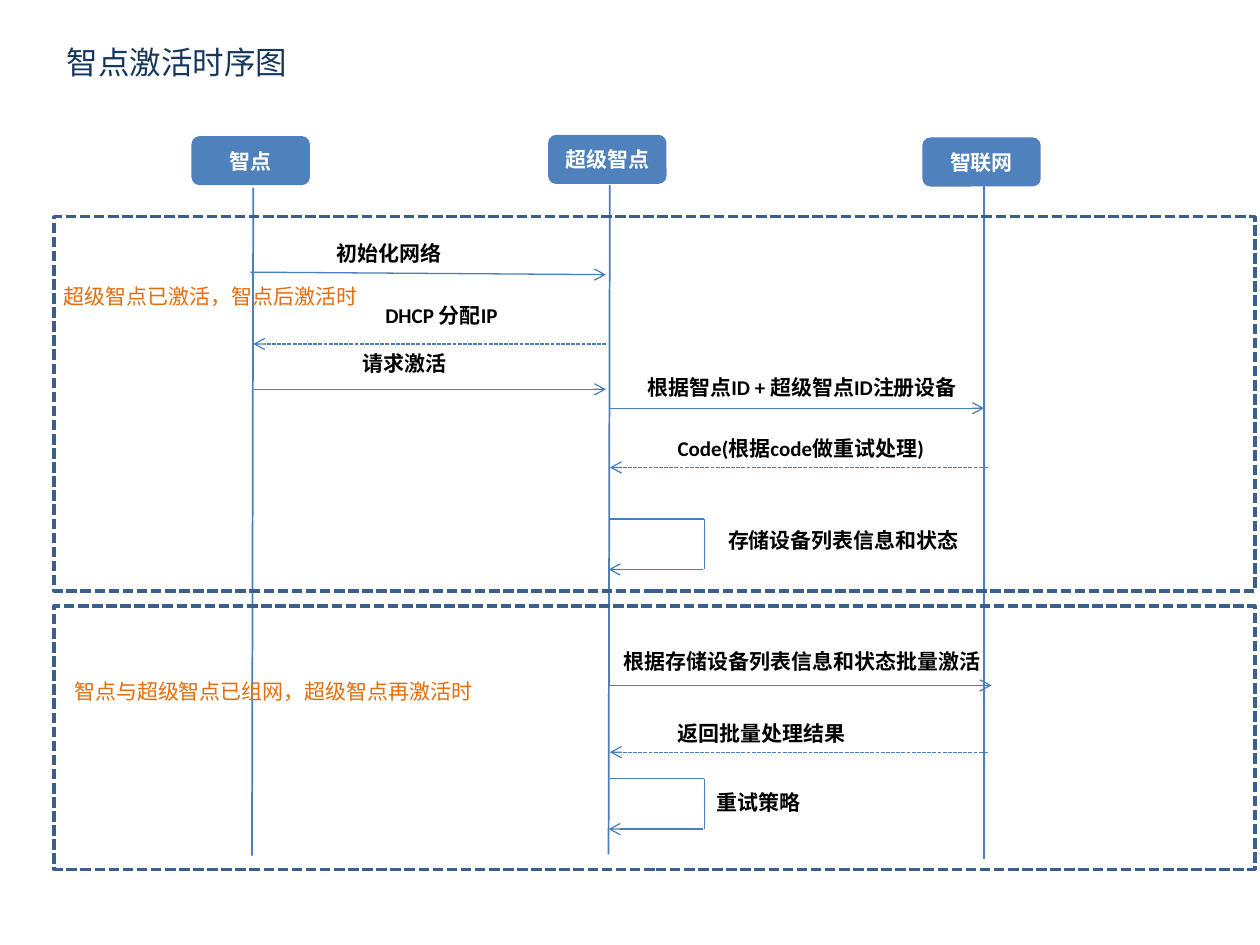
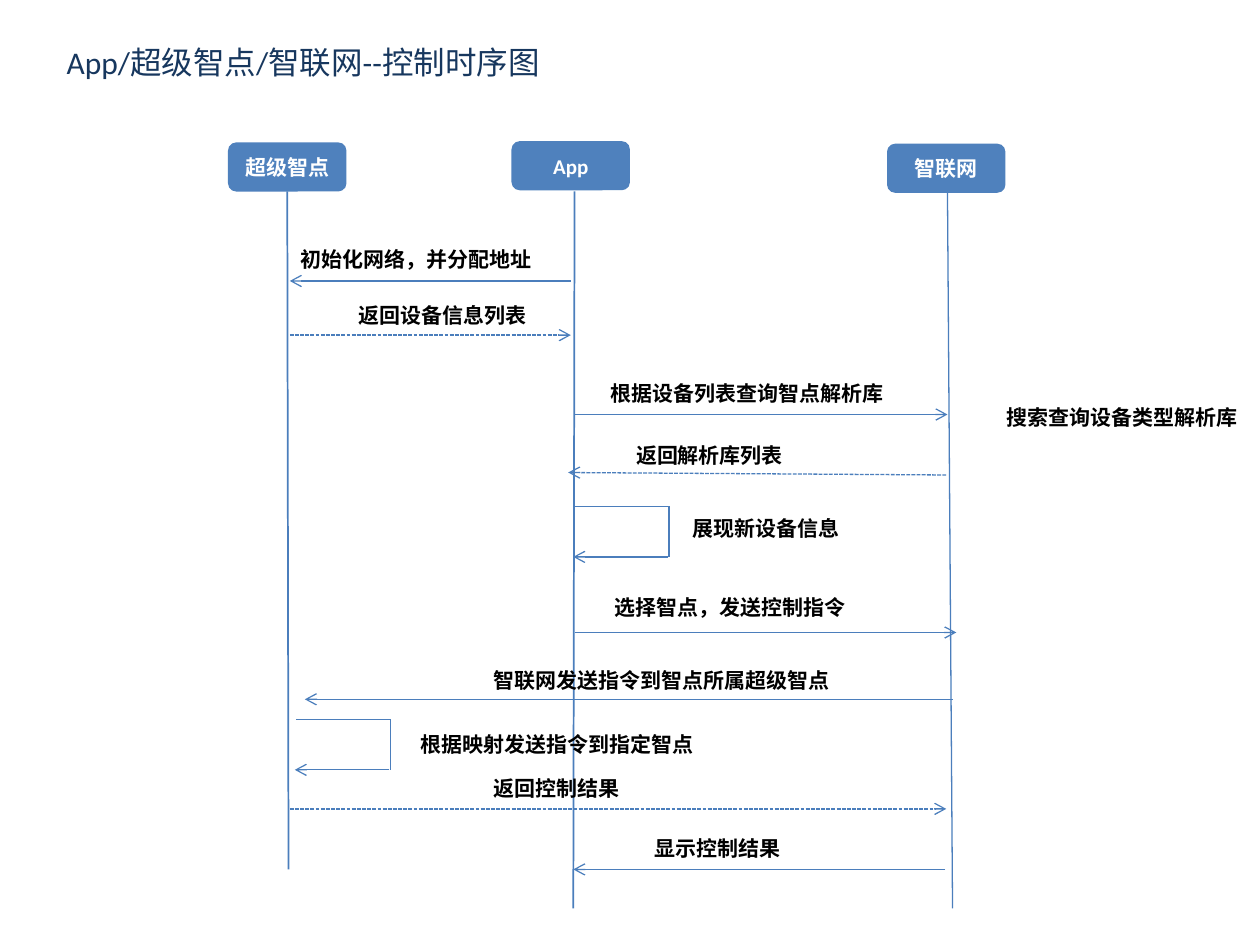
from dataclasses import dataclass

from lxml import etree
from pptx import Presentation
from pptx import util as u
from pptx.dml.color import RGBColor
from pptx.enum import dml, shapes, text
from pptx.oxml.ns import qn


@dataclass(frozen=True)
class Theme:
    font: str = "Calibri"
    title_size: int = 18
    body_size: int = 12
    title: str = "17375E"
    ink: str = "000000"
    light: str = "FFFFFF"
    note: str = "E46C0A"
    actor: str = "4F81BD"
    line: str = "4B7EBC"
    frame: str = "3A5F8C"
    thin: float = 0.75
    medium: float = 1
    thick: float = 2


def rgb(color):
    return RGBColor.from_string(color)


def write(frame, words, *, font, size, color, bold=False,
          align=text.PP_ALIGN.LEFT, anchor=text.MSO_ANCHOR.TOP):
    frame.word_wrap = True
    frame.vertical_anchor = anchor
    para = frame.paragraphs[0]
    para.alignment = align
    span = para.add_run()
    span.text = words
    span.font.name = font
    span.font.size = u.Pt(size)
    span.font.bold = bold
    span.font.color.rgb = rgb(color)


class SequenceDiagram:
    """Draws sequence diagrams on the current slide in one theme."""

    def __init__(self, deck, theme):
        self.deck = deck
        self.theme = theme
        self.page = None

    def start(self, title):
        self.page = self.deck.slides.add_slide(self.deck.slide_layouts[6])
        self.words(title, 0.43, 0.29, 7.48, 0.51,
                   size=self.theme.title_size, color=self.theme.title)

    def words(self, words, left, top, width, height=0.3, **style):
        box = self.page.shapes.add_textbox(*map(u.Inches, (left, top, width, height)))
        write(box.text_frame, words, font=self.theme.font, **style)

    def label(self, words, left, top, width=2.56):
        self.words(words, left, top, width,
                   size=self.theme.body_size, color=self.theme.ink, bold=True)

    def note(self, words, left, top, width):
        self.words(words, left, top, width,
                   size=self.theme.body_size, color=self.theme.note)

    def shape(self, kind, left, top, width, height):
        shape = self.page.shapes.add_shape(
            kind, *map(u.Inches, (left, top, width, height)))
        shape.shadow.inherit = False
        return shape

    def actor(self, name, left, top):
        box = self.shape(shapes.MSO_SHAPE.ROUNDED_RECTANGLE, left, top, 0.94, 0.39)
        box.fill.solid()
        box.fill.fore_color.rgb = rgb(self.theme.actor)
        box.line.fill.background()
        write(box.text_frame, name, font=self.theme.font,
              size=self.theme.body_size, color=self.theme.light, bold=True,
              align=text.PP_ALIGN.CENTER, anchor=text.MSO_ANCHOR.MIDDLE)

    def phase(self, top, height):
        box = self.shape(shapes.MSO_SHAPE.RECTANGLE, 0.43, top, 9.53, height)
        box.fill.background()
        box.line.color.rgb = rgb(self.theme.frame)
        box.line.width = u.Pt(self.theme.thick)
        box.line.dash_style = dml.MSO_LINE.SQUARE_DOT

    def line(self, start, end, weight=None, dashed=False, arrow=False):
        line = self.page.shapes.add_connector(
            shapes.MSO_CONNECTOR.STRAIGHT, *map(u.Inches, (*start, *end)))
        line.line.color.rgb = rgb(self.theme.line)
        line.line.width = u.Pt(weight or self.theme.thin)
        if dashed:
            line.line.dash_style = dml.MSO_LINE.SQUARE_DOT
        if arrow:
            outline = line.line._get_or_add_ln()
            etree.SubElement(outline, qn("a:tailEnd"), type="arrow")
        etree.SubElement(line._element.spPr, qn("a:effectLst"))

    def lifelines(self, actors):
        weights = (self.theme.medium, self.theme.medium, self.theme.thin)
        for (name, left, top, start, end), weight in zip(actors, weights):
            self.line(start, end, weight)
            self.actor(name, left, top)

    def call(self, start, end):
        self.line(start, end, arrow=True)

    def reply(self, start, end):
        self.line(start, end, dashed=True, arrow=True)

    def self_call(self, left, top):
        right, bottom = left + 0.75, top + 0.4
        self.line((left, top), (right, top))
        self.line((right, top), (right, bottom))
        self.call((right - 0.01, bottom), (left - 0.01, bottom))


def draw_activation(diagram):
    diagram.start("智点激活时序图")
    diagram.lifelines((
        ("智点", 1.52, 1.08, (2.01, 1.49), (2, 6.79)),
        ("超级智点", 4.35, 1.07, (4.84, 1.47), (4.83, 6.78)),
        ("智联网", 7.32, 1.09, (7.81, 1.48), (7.81, 6.82)),
    ))
    diagram.phase(1.72, 2.97)
    diagram.phase(4.81, 2.09)
    diagram.note("超级智点已激活，智点后激活时", 0.41, 2.2, 2.6)
    diagram.note("智点与超级智点已组网，超级智点再激活时", 0.49, 5.34, 3.4)

    diagram.label("初始化网络", 2.57, 1.86)
    diagram.call((1.99, 2.16), (4.81, 2.18))
    diagram.label("DHCP 分配IP", 2.96, 2.35)
    diagram.reply((4.81, 2.73), (2.01, 2.73))
    diagram.label("请求激活", 2.78, 2.73)
    diagram.call((2.02, 3.09), (4.81, 3.09))
    diagram.label("根据智点ID + 超级智点ID注册设备", 5.04, 2.92, 2.9)
    diagram.call((4.84, 3.24), (7.81, 3.24))
    diagram.label("Code(根据code做重试处理)", 5.28, 3.41)
    diagram.reply((7.84, 3.71), (4.84, 3.71))
    diagram.label("存储设备列表信息和状态", 5.68, 4.14)
    diagram.self_call(4.84, 4.12)

    diagram.label("根据存储设备列表信息和状态批量激活", 4.85, 5.1, 3.1)
    diagram.call((4.84, 5.44), (7.87, 5.44))
    diagram.label("返回批量处理结果", 5.28, 5.67)
    diagram.reply((7.84, 5.97), (4.84, 5.97))
    diagram.label("重试策略", 5.59, 6.22)
    diagram.self_call(4.84, 6.18)


def draw_control(diagram):
    diagram.start("App/超级智点/智联网--控制时序图")
    diagram.lifelines((
        ("超级智点", 1.81, 1.13, (2.28, 1.52), (2.29, 6.9)),
        ("App", 4.06, 1.12, (4.56, 1.52), (4.55, 7.21)),
        ("智联网", 7.04, 1.14, (7.52, 1.53), (7.56, 7.21)),
    ))
    diagram.label("初始化网络，并分配地址", 2.29, 1.91)
    diagram.call((4.53, 2.23), (2.3, 2.23))
    diagram.label("返回设备信息列表", 2.75, 2.35, 1.55)
    diagram.reply((2.3, 2.66), (4.53, 2.66))
    diagram.label("根据设备列表查询智点解析库", 4.75, 2.97)
    diagram.call((4.56, 3.29), (7.52, 3.29))
    diagram.label("搜索查询设备类型解析库", 7.89, 3.16, 2.06)
    diagram.label("返回解析库列表", 4.95, 3.46)
    diagram.reply((7.51, 3.77), (4.51, 3.75))
    diagram.label("展现新设备信息", 5.4, 4.04)
    diagram.self_call(4.56, 4.02)

    diagram.label("选择智点，发送控制指令", 4.78, 4.67)
    diagram.call((4.56, 5.02), (7.59, 5.02))
    diagram.label("智联网发送指令到智点所属超级智点", 3.82, 5.25, 3.22)
    diagram.call((7.56, 5.55), (2.42, 5.55))
    diagram.label("根据映射发送指令到指定智点", 3.24, 5.76)
    diagram.self_call(2.35, 5.71)
    diagram.label("返回控制结果", 3.82, 6.11)
    diagram.reply((2.3, 6.42), (7.51, 6.42))
    diagram.label("显示控制结果", 5.1, 6.58)
    diagram.call((7.5, 6.9), (4.55, 6.9))


def main():
    deck = Presentation()
    deck.slide_width, deck.slide_height = u.Inches(10), u.Inches(7.5)
    diagram = SequenceDiagram(deck, Theme())
    draw_activation(diagram)
    draw_control(diagram)
    deck.save("out.pptx")


if __name__ == "__main__":
    main()
